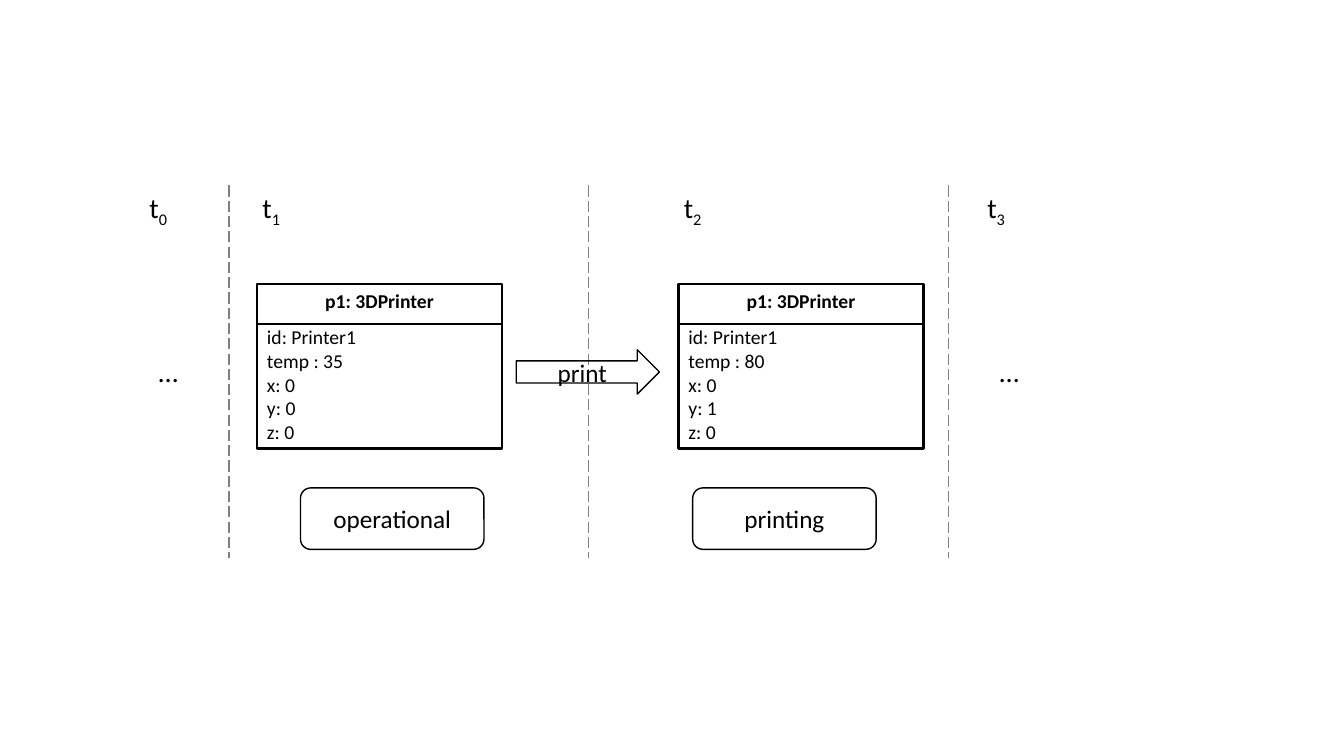
from pptx import Presentation
from pptx import util as u
from pptx.dml.color import RGBColor
from pptx.enum import dml, shapes, text
from pptx.oxml.ns import qn
from lxml import etree

PX = 9144
COLORS = {"ink": "000000", "divider": "808080"}
FONT = "Calibri"


def write(paragraph, words, size=18, bold=False, align=text.PP_ALIGN.CENTER, subscript=False):
    """Add a formatted run to a paragraph."""
    paragraph.alignment = align
    run = paragraph.add_run()
    run.text = words
    run.font.name, run.font.size, run.font.bold = FONT, u.Pt(size), bold
    run.font.color.rgb = RGBColor.from_string(COLORS["ink"])
    if subscript:
        run.font._element.set("baseline", "-25000")


class Diagram:
    """Draws timeline elements on one slide."""

    def __init__(self, slide):
        """Keep the slide to draw on."""
        self.slide = slide

    def line(self, x1, y1, x2, y2, color="ink", width=1.5, dash=None):
        """Draw a straight line."""
        rule = self.slide.shapes.add_connector(
            shapes.MSO_CONNECTOR.STRAIGHT, x1 * PX, y1 * PX, x2 * PX, y2 * PX)
        rule.line.color.rgb = RGBColor.from_string(COLORS[color])
        rule.line.width = u.Pt(width)
        if dash:
            rule.line.dash_style = dash
        etree.SubElement(rule._element.spPr, qn("a:effectLst"))

    def label(self, x, y, words, subscript=""):
        """Place a short centred label with an optional subscript."""
        box = self.slide.shapes.add_textbox(x * PX, y * PX, 62 * PX, 44 * PX)
        frame = box.text_frame
        frame.word_wrap = True
        frame.auto_size = text.MSO_AUTO_SIZE.SHAPE_TO_FIT_TEXT
        write(frame.paragraphs[0], words, size=20)
        if subscript:
            write(frame.paragraphs[0], subscript, size=20, subscript=True)

    def outline(self, kind, x, y, w, h, width=1, anchor=text.MSO_ANCHOR.MIDDLE):
        """Draw an unfilled shape and return its text frame."""
        shape = self.slide.shapes.add_shape(kind, x * PX, y * PX, w * PX, h * PX)
        shape.shadow.inherit = False
        shape.fill.background()
        shape.line.color.rgb = RGBColor.from_string(COLORS["ink"])
        shape.line.width = u.Pt(width)
        shape.text_frame.word_wrap = True
        shape.text_frame.vertical_anchor = anchor
        return shape.text_frame

    def caption(self, kind, x, y, w, h, words):
        """Draw an outlined shape with centred text."""
        write(self.outline(kind, x, y, w, h).paragraphs[0], words)

    def instance(self, x, name, attributes):
        """Draw an object box with its name above its attributes."""
        frame = self.outline(shapes.MSO_SHAPE.RECTANGLE, x, 282, 243, 163,
                             width=1.5, anchor=text.MSO_ANCHOR.TOP)
        heading = frame.paragraphs[0]
        heading.space_after = u.Pt(9)
        write(heading, name, size=14, bold=True)
        for key_value in attributes:
            write(frame.add_paragraph(), key_value, size=14, align=text.PP_ALIGN.LEFT)
        self.line(x, 321, x + 243, 321)


def main():
    """Build the printer timeline."""
    deck = Presentation()
    deck.slide_width, deck.slide_height = u.Inches(13.33), u.Inches(7.5)
    diagram = Diagram(deck.slides.add_slide(deck.slide_layouts[6]))

    for x in (227, 584, 941):
        diagram.line(x, 184, x, 554, "divider", 1, dml.MSO_LINE.LONG_DASH)
    for step, x in enumerate((126, 238, 656, 957)):
        diagram.label(x, 184, "t", str(step))
    for x in (136, 970):
        diagram.label(x, 347, "…")

    diagram.caption(shapes.MSO_SHAPE.RIGHT_ARROW, 512, 347, 142, 44, "print")
    for x, state in ((298, "operational"), (687, "printing")):
        diagram.caption(shapes.MSO_SHAPE.ROUNDED_RECTANGLE, x, 484, 182, 61, state)
    for x, temp, y in ((255, 35, 0), (673, 80, 1)):
        diagram.instance(x, "p1: 3DPrinter",
                         ("id: Printer1", f"temp : {temp}", "x: 0", f"y: {y}", "z: 0"))

    deck.save("out.pptx")


if __name__ == "__main__":
    main()
